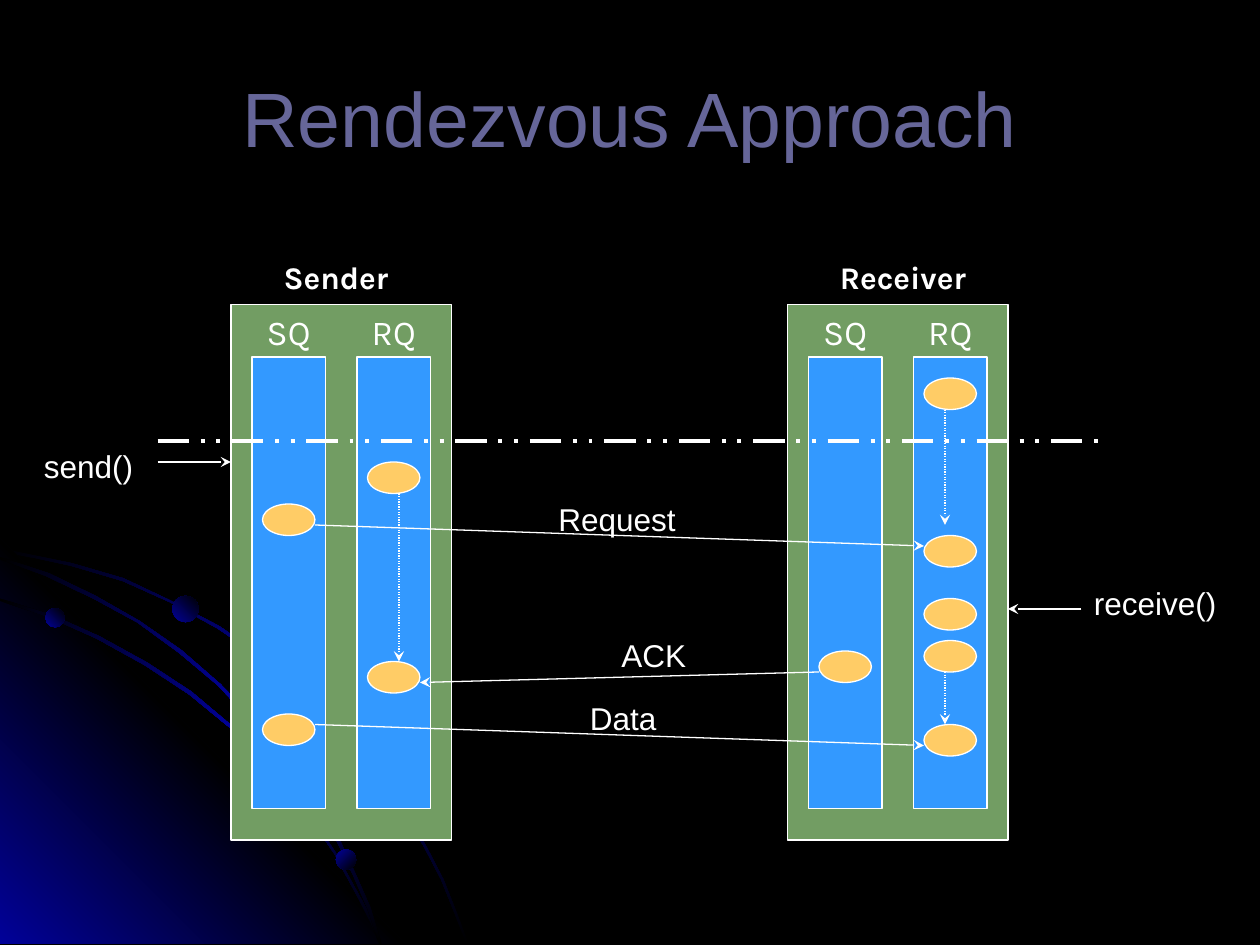
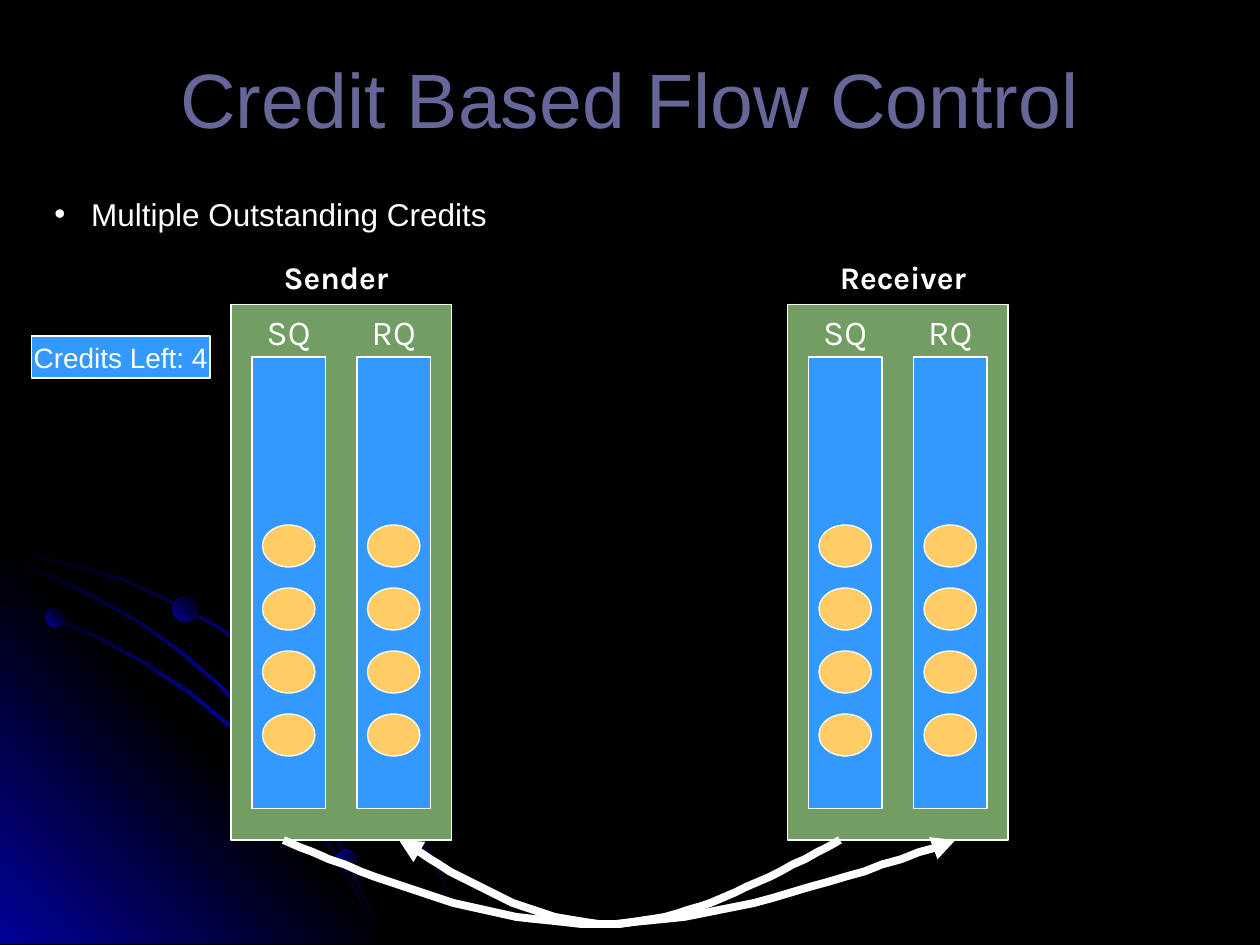
from lxml import etree
from pptx import Presentation
from pptx.dml.color import RGBColor
from pptx.enum.dml import MSO_LINE
from pptx.enum.shapes import MSO_CONNECTOR, MSO_SHAPE
from pptx.enum.text import MSO_ANCHOR, PP_ALIGN
from pptx.oxml.ns import qn
from pptx.util import Pt

RECT, OVAL = MSO_SHAPE.RECTANGLE, MSO_SHAPE.OVAL
STRAIGHT = MSO_CONNECTOR.STRAIGHT
LEFT, CENTER = PP_ALIGN.LEFT, PP_ALIGN.CENTER
TOP, MIDDLE = MSO_ANCHOR.TOP, MSO_ANCHOR.MIDDLE
DOTS, DASHES = MSO_LINE.ROUND_DOT, MSO_LINE.DASH_DOT_DOT

# Shared look
BLACK, WHITE, NAVY = "000000", "FFFFFF", "010199"
VIOLET, GREEN, BLUE, GOLD = "666699", "729D63", "3399FF", "FFCC66"
SANS, KARLA = "Arial", "Karla"

# Shared grid, in points
HOSTS = {"Sender": 132, "Receiver": 450}
LANES = {"SQ": 12, "RQ": 72}
HOST_TOP, LANE_TOP = 174, 204

# Backdrop outlines, in hundredths of an inch
UNIT = Pt(0.72)
CORNER = [(322, 749), (0, 749), (0, 427)]
OUTER = [(57, 447), (28, 441), (0, 435), (0, 438), (28, 443), (56, 449),
         (97, 461), (135, 478), (173, 499), (208, 523), (241, 549),
         (271, 579), (298, 612), (323, 649), (337, 673), (350, 698),
         (360, 723), (370, 749), (372, 749), (362, 723), (352, 698),
         (339, 673), (325, 648), (300, 611), (272, 578), (242, 548),
         (209, 521), (174, 497), (136, 477), (98, 459)]
INNER = [(285, 714), (294, 732), (301, 749), (303, 749), (296, 730),
         (286, 712), (266, 676), (242, 640), (215, 606), (184, 576),
         (152, 549), (117, 526), (79, 505), (41, 488), (0, 475), (0, 477),
         (39, 490), (77, 507), (115, 528), (150, 551), (183, 578),
         (213, 608), (240, 641), (265, 677)]
MIDDLE_ARC = [(0, 442), (0, 444), (36, 457), (74, 475), (109, 494),
              (142, 518), (173, 544), (202, 575), (227, 605), (252, 641),
              (267, 667), (280, 694), (292, 722), (301, 749), (303, 749),
              (294, 720), (282, 693), (269, 665), (254, 639), (229, 603),
              (204, 573), (175, 543), (144, 516), (111, 493), (76, 473),
              (39, 455)]
ORBS = [(26, 347.5, 11, 315), (192, 485.5, 11.5, 45), (98.5, 340.5, 15, 315)]


def rgb(code):
    return RGBColor.from_string(code)


def stroke(shape, width=0.75, dash=None, tip=None):
    """Give a white line, with an optional dash and end arrow."""
    shape.line.color.rgb = rgb(WHITE)
    shape.line.width = Pt(width)
    if dash:
        shape.line.dash_style = dash
    if tip:
        line = shape._element.spPr.find(qn("a:ln"))
        etree.SubElement(line, qn("a:tailEnd"), type=tip)


def shade(shape, colors, angle):
    """Fill with evenly spaced gradient stops and no outline."""
    shape.shadow.inherit = False
    shape.line.fill.background()
    shape.fill.gradient()
    grad = shape._element.spPr.find(qn("a:gradFill"))
    grad.clear()
    stops = etree.SubElement(grad, qn("a:gsLst"))
    for i, color in enumerate(colors):
        place = 100000 * i // (len(colors) - 1)
        stop = etree.SubElement(stops, qn("a:gs"), pos=str(place))
        etree.SubElement(stop, qn("a:srgbClr"), val=color)
    etree.SubElement(grad, qn("a:lin"), ang=str(angle * 60000), scaled="0")


def trace(slide, points, scale, close):
    pen = slide.shapes.build_freeform(*points[0], scale=scale)
    pen.add_line_segments(points[1:], close=close)
    return pen.convert_to_shape()


def form(slide, kind, x, y, w, h, color):
    shape = slide.shapes.add_shape(kind, Pt(x), Pt(y), Pt(w), Pt(h))
    shape.shadow.inherit = False
    shape.fill.solid()
    shape.fill.fore_color.rgb = rgb(color)
    stroke(shape)
    return shape


def write(shape, text, size=18, font=SANS, color=WHITE, align=LEFT,
          anchor=TOP, bold=False, wrap=True, bullet=None):
    frame = shape.text_frame
    frame.word_wrap = wrap
    frame.vertical_anchor = anchor
    para = frame.paragraphs[0]
    para.text = text
    para.alignment = align
    if bullet:
        props = para._p.get_or_add_pPr()
        props.set("marL", str(Pt(21)))
        props.set("indent", str(-Pt(21)))
        etree.SubElement(props, qn("a:buFont"), typeface=SANS)
        etree.SubElement(props, qn("a:buChar"), char=bullet)
    para.font.size = Pt(size)
    para.font.name = font
    para.font.bold = bold
    para.font.color.rgb = rgb(color)


def label(slide, text, x, y, w, h=28.8, **style):
    box = slide.shapes.add_textbox(Pt(x), Pt(y), Pt(w), Pt(h))
    write(box, text, **style)


def wire(slide, x1, y1, x2, y2, width=0.75, dash=None, tip="stealth"):
    line = slide.shapes.add_connector(STRAIGHT, Pt(x1), Pt(y1),
                                      Pt(x2), Pt(y2))
    stroke(line, width, dash, tip)
    etree.SubElement(line._element.spPr, qn("a:effectLst"))


def bead(slide, host, lane, y, h):
    form(slide, OVAL, HOSTS[host] + LANES[lane] + 6, y, 30, h, GOLD)


def curve(slide, knots, steps=20):
    """Draw an arrow along joined cubic curves."""
    points = [knots[0]]
    for k in range(0, len(knots) - 1, 3):
        a, b, c, d = knots[k:k + 4]
        for i in range(1, steps + 1):
            t = i / steps
            s = 1 - t
            points.append(tuple(
                s**3 * a[n] + 3 * s * s * t * b[n] + 3 * s * t * t * c[n]
                + t**3 * d[n] for n in (0, 1)))
    shape = trace(slide, points, Pt(1), False)
    shape.shadow.inherit = False
    shape.fill.background()
    stroke(shape, 4.5, tip="triangle")


def backdrop(slide):
    slide.background.fill.solid()
    slide.background.fill.fore_color.rgb = rgb(BLACK)
    glow = (BLACK, NAVY, BLACK)
    for points, colors, angle in (
            (OUTER, glow, 45), (CORNER, (NAVY, BLACK, NAVY), 315),
            (INNER, glow, 45), (MIDDLE_ARC, glow, 45)):
        shade(trace(slide, points, UNIT, True), colors, angle)
    for x, y, size, angle in ORBS:
        orb = slide.shapes.add_shape(OVAL, Pt(x), Pt(y), Pt(size), Pt(size))
        shade(orb, (NAVY, BLACK), angle)


def hosts(slide):
    """Draw both hosts with their send and receive queues."""
    for name, x in HOSTS.items():
        form(slide, RECT, x, HOST_TOP, 126, 306, GREEN)
        shift = 6 if name == "Sender" else 12
        label(slide, name, x + shift, 144, 108, font=KARLA, bold=True,
              align=CENTER)
        for lane, dx in LANES.items():
            form(slide, RECT, x + dx, LANE_TOP, 42, 258, BLUE)
            label(slide, lane, x + dx, HOST_TOP, 42, 31, size=20, font=KARLA,
                  align=CENTER)


def start(deck, title, height):
    slide = deck.slides.add_slide(deck.slide_layouts[6])
    backdrop(slide)
    label(slide, title, 36, 21.6, 648, height, size=44, color=VIOLET,
          align=CENTER, anchor=MIDDLE)
    hosts(slide)
    return slide


def meet(deck):
    slide = start(deck, "Rendezvous Approach", 90)
    # Time line and messages
    wire(slide, 90, 252, 630, 252, 2.25, DASHES, None)
    for ends in ((90, 264, 132, 264), (618, 348, 576, 348),
                 (180, 300, 528, 312), (468, 384, 240, 390),
                 (180, 414, 528, 426)):
        wire(slide, *ends)
    # Queue entries
    for host, lane, tops in (("Sender", "SQ", (288, 408)),
                             ("Sender", "RQ", (264, 378)),
                             ("Receiver", "SQ", (372,)),
                             ("Receiver", "RQ", (216, 306, 342, 366, 414))):
        for y in tops:
            bead(slide, host, lane, y, 18)
    # Moves within a queue
    for x, y1, y2 in ((540, 234, 300), (228, 282, 378), (540, 384, 414)):
        wire(slide, x, y1, x, y2, dash=DOTS)
    for text, x, y, w in (("send()", 18, 252, 78), ("receive()", 618, 330, 102),
                          ("Request", 312, 282, 96), ("ACK", 348, 360, 54),
                          ("Data", 330, 396, 54)):
        label(slide, text, x, y, w)


def credit(deck):
    slide = start(deck, "Credit Based Flow Control", 68.4)
    for host in HOSTS:
        for lane in LANES:
            for i in range(4):
                bead(slide, host, lane, 300 + 36 * i, 24)
    # Flow between the hosts
    curve(slide, [(162, 480), (220, 504), (278, 528), (342, 528),
                  (406, 528), (476, 504), (546, 480)])
    curve(slide, [(480, 480), (435, 504), (390, 528), (348, 528),
                  (306, 528), (267, 504), (228, 480)])
    # Counter and remark
    count = form(slide, RECT, 18, 192, 102, 24, BLUE)
    write(count, "Credits Left: 4", size=16, align=CENTER, anchor=MIDDLE,
          wrap=False)
    label(slide, "Multiple Outstanding Credits", 24, 108, 372, bullet="•")


def main():
    deck = Presentation()
    deck.slide_width, deck.slide_height = Pt(720), Pt(540)
    meet(deck)
    credit(deck)
    deck.save("out.pptx")


if __name__ == "__main__":
    main()
